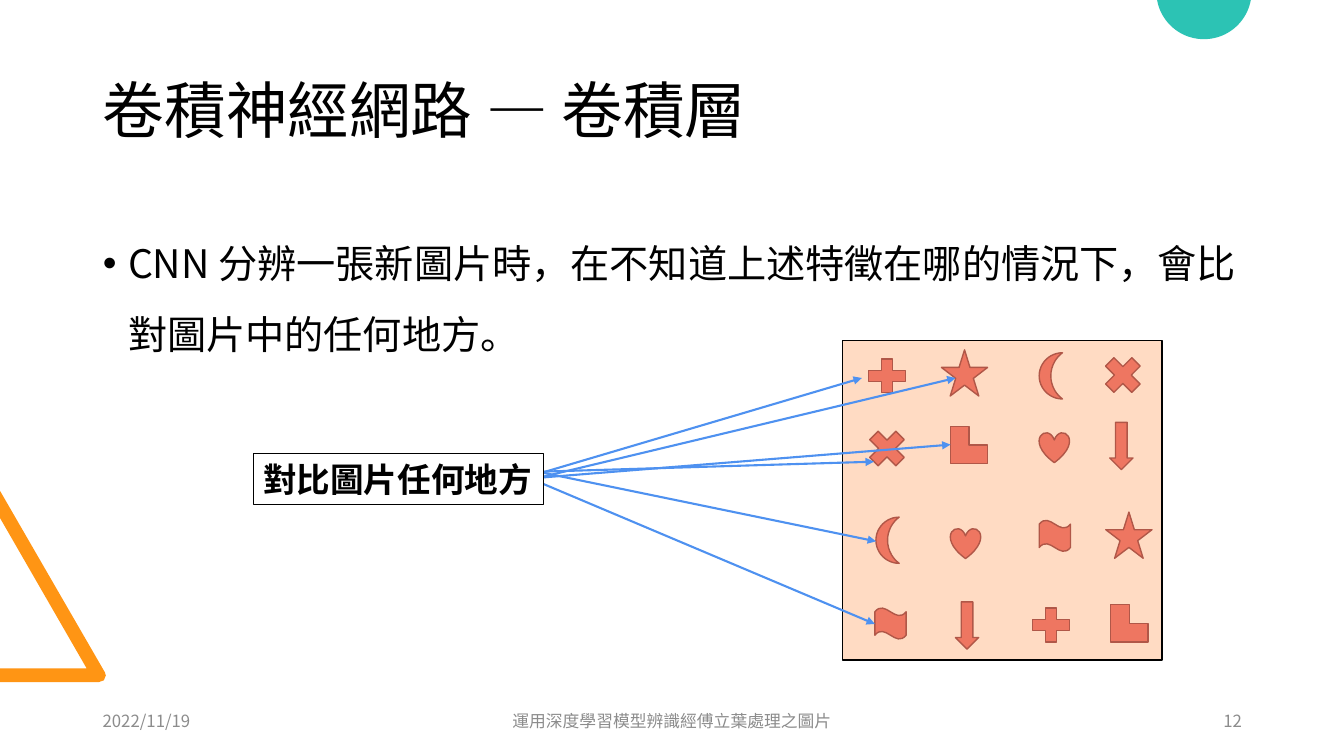
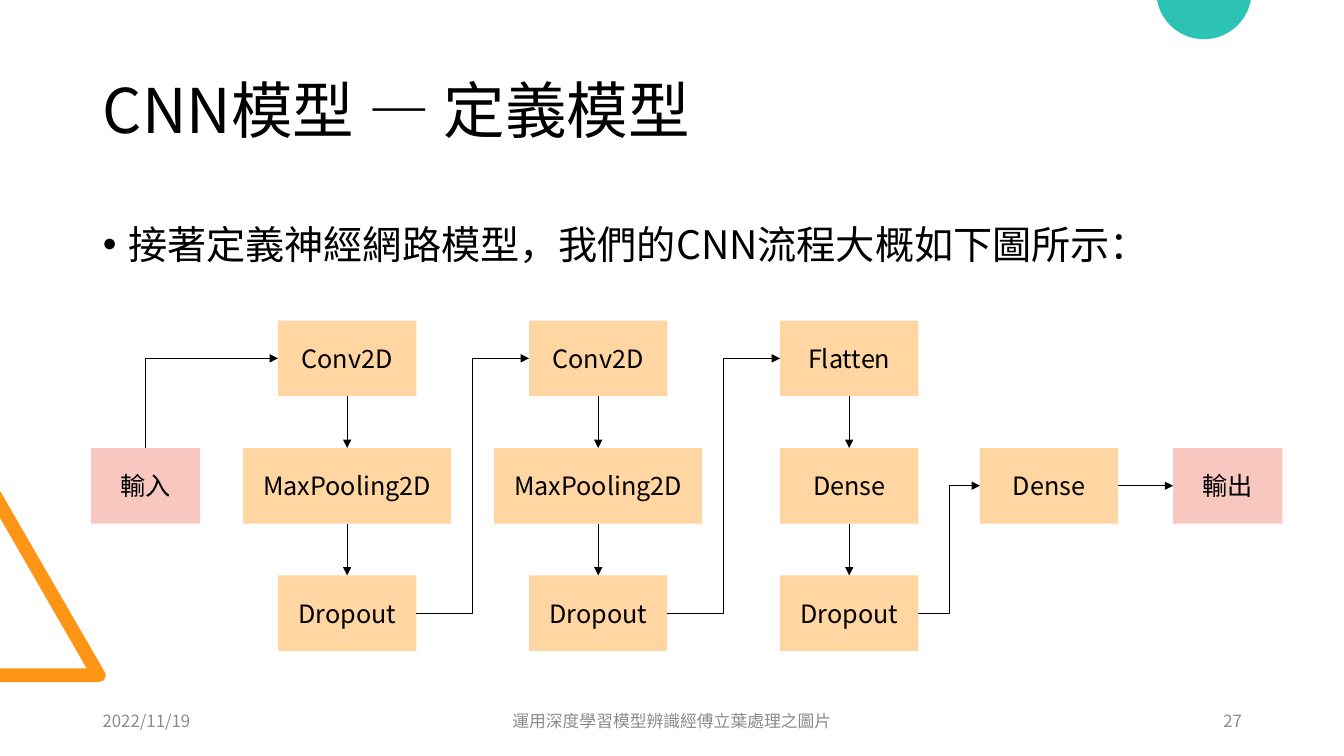
from math import cos, pi, sin

from lxml import etree
from pptx import Presentation
from pptx.dml.color import RGBColor
from pptx.enum.shapes import MSO_CONNECTOR, MSO_SHAPE
from pptx.enum.text import MSO_ANCHOR, MSO_AUTO_SIZE, PP_ALIGN
from pptx.oxml.ns import qn
from pptx.util import Pt

BLACK = RGBColor(0x00, 0x00, 0x00)
WHITE = RGBColor(0xFF, 0xFF, 0xFF)
GREY = RGBColor(0x8C, 0x8C, 0x8C)
ORANGE = RGBColor(0xFF, 0x95, 0x14)
TEAL = RGBColor(0x2C, 0xC3, 0xB4)
PEACH = RGBColor(0xFF, 0xDB, 0xC3)
CORAL = RGBColor(0xEE, 0x76, 0x61)
BRICK = RGBColor(0xB0, 0x57, 0x48)
BLUE = RGBColor(0x4E, 0x91, 0xF0)
PINK = RGBColor(0xF8, 0xC8, 0xC0)
SAND = RGBColor(0xFF, 0xD5, 0xA1)

TC_FONT = "Noto Sans CJK TC"
SC_FONT = "Noto Sans CJK SC"
LABEL_FONT = "Roboto"

LEFT, CENTER, RIGHT = PP_ALIGN.LEFT, PP_ALIGN.CENTER, PP_ALIGN.RIGHT
MIDDLE, TOP = MSO_ANCHOR.MIDDLE, MSO_ANCHOR.TOP
NO_FIT = MSO_AUTO_SIZE.NONE
STRAIGHT, ELBOW = MSO_CONNECTOR.STRAIGHT, MSO_CONNECTOR.ELBOW
RECTANGLE = MSO_SHAPE.RECTANGLE
TOP_SITE, LEFT_SITE, BOTTOM_SITE, RIGHT_SITE = range(4)

TITLE_BOX = (66.24, 28.8, 828, 104.4)
FOOTER_TOP, FOOTER_HEIGHT = 500.4, 28.8
FOOTER_TEXT = "運用深度學習模型辨識經傅立葉處理之圖片"
DATE_TEXT = "2022/11/19"

TRIANGLE = [(0, 487.2), (0, 477.4), (61.9, 477.4), (0, 370), (0, 350.6),
            (74.9, 480.2), (75.6, 482.4), (74.2, 486), (70.6, 487.2)]

ICONS = {
    MSO_SHAPE.MATH_PLUS: (36, 33, [(13.7, 8.6), (131, 186.5)]),
    MSO_SHAPE.MATH_MULTIPLY: (36, 36, [(13.7, 59), (182.2, 6.5)]),
    MSO_SHAPE.STAR_5_POINT: (33, 33, [(70.6, 6.5), (188, 122.4)]),
    MSO_SHAPE.MOON: (16.6, 33, [(23.8, 126), (140.4, 8.6)]),
    MSO_SHAPE.WAVE: (22.3, 22.3, [(23, 190.8), (140.4, 128.2)]),
    MSO_SHAPE.CORNER: (26.6, 26.6, [(77, 61.2), (191.5, 188.6)]),
    MSO_SHAPE.HEART: (21.6, 21.6, [(140.4, 65.5), (77, 134)]),
    MSO_SHAPE.DOWN_ARROW: (16.6, 33.8, [(80.6, 186.5), (190.8, 58.3)]),
}
POINTERS = [(14.4, 13.7, 26.6), (17.3, 80.6, 26.6), (13, 22.3, 86.4),
            (13, 23.8, 143.3), (20.2, 23, 202.3), (17.3, 77, 74.2)]

LAYER_COLUMNS = [("Conv2D", "MaxPooling2D", "Dropout"),
                 ("Conv2D", "MaxPooling2D", "Dropout"),
                 ("Flatten", "Dense", "Dropout")]


def place(shape, box):
    """Move a shape to a left, top, width, height box."""
    shape.left, shape.top, shape.width, shape.height = map(Pt, box)


def write(shape, text, size, color, font=TC_FONT, align=LEFT, anchor=MIDDLE,
          bold=None, wrap=True, spacing=None):
    """Write one paragraph into a shape and return the paragraph."""
    frame = shape.text_frame
    frame.auto_size = NO_FIT
    frame.word_wrap = wrap
    frame.vertical_anchor = anchor
    para = frame.paragraphs[0]
    para.alignment = align
    para.space_before = Pt(0)
    para.line_spacing = spacing
    span = para.add_run()
    span.text = text
    span.font.size = Pt(size)
    span.font.bold = bold
    span.font.color.rgb = color
    span.font.name = font
    east_asian = TC_FONT if font == LABEL_FONT else font
    etree.SubElement(span.font._element, qn("a:ea"), typeface=east_asian)
    return para


def paint(shape, fill, line=None, width=1):
    """Give a shape a flat fill and an optional outline."""
    shape.shadow.inherit = False
    shape.fill.solid()
    shape.fill.fore_color.rgb = fill
    if line is None:
        shape.line.fill.background()
    else:
        shape.line.color.rgb = line
        shape.line.width = Pt(width)


def add_block(page, kind, box, fill, line=None, width=1):
    """Add a painted preset shape."""
    block = page.shapes.add_shape(kind, *map(Pt, box))
    paint(block, fill, line, width)
    return block


def add_outline(page, points, fill):
    """Add a filled closed outline through the points."""
    corners = [(Pt(x), Pt(y)) for x, y in points]
    builder = page.shapes.build_freeform(*corners[0], scale=1.0)
    builder.add_line_segments(corners[1:], close=True)
    outline = builder.convert_to_shape()
    paint(outline, fill)
    return outline


def add_arrow(page, kind, ends, color, width, arrow_end="a:tailEnd"):
    """Add a connector with a triangle at one end."""
    arrow = page.shapes.add_connector(kind, *map(Pt, ends))
    arrow.line.color.rgb = color
    arrow.line.width = Pt(width)
    properties = arrow.element.spPr
    etree.SubElement(properties.find(qn("a:ln")), qn(arrow_end), type="triangle")
    etree.SubElement(properties, qn("a:effectLst"))
    return arrow


def decorate_layout(layout, page):
    """Put the corner ornaments on the shared layout."""
    center_x, center_y, radius, steps = 860, -6, 34, 48
    start = 0.18
    angles = [start + (pi - 2 * start) * step / steps for step in range(steps + 1)]
    cap = [(center_x + radius * cos(angle), max(0, center_y + radius * sin(angle)))
           for angle in angles]
    for points, fill in ((TRIANGLE, ORANGE), (cap, TEAL)):
        layout.shapes.element.append(add_outline(page, points, fill).element)


def add_page(deck, layout, title, body, body_box, number):
    """Add a slide with title, bulleted body and footer line."""
    page = deck.slides.add_slide(layout)
    place(page.shapes.title, TITLE_BOX)
    write(page.shapes.title, title, 44, BLACK, spacing=0.9)
    content = page.placeholders[1]
    place(content, body_box)
    para = write(content, body, 28, BLACK, anchor=TOP, spacing=1.5)
    properties = para._p.get_or_add_pPr()
    properties.set("marL", str(Pt(18)))
    properties.set("indent", str(-Pt(18)))
    for text, left, width, align in ((DATE_TEXT, 66.24, 216, LEFT),
                                     (FOOTER_TEXT, 318, 324, CENTER),
                                     (number, 678.24, 216, RIGHT)):
        footer = page.shapes.add_textbox(
            Pt(left), Pt(FOOTER_TOP), Pt(width), Pt(FOOTER_HEIGHT))
        write(footer, text, 12, GREY, align=align)
    return page


def draw_comparison(page, panel_box, label_box):
    """Draw the icon panel and the label pointing into it."""
    left, top = panel_box[:2]
    add_block(page, RECTANGLE, panel_box, PEACH, BLACK)
    for kind, (width, height, spots) in ICONS.items():
        for x, y in spots:
            add_block(page, kind, (left + x, top + y, width, height), CORAL, BRICK)
    start_x = label_box[0] + label_box[2] - 3.6
    for start_y, x, y in POINTERS:
        ends = (start_x, label_box[1] + start_y, left + x, top + y)
        add_arrow(page, STRAIGHT, ends, BLUE, 1.5)
    label = add_block(page, RECTANGLE, label_box, WHITE, BLACK, 0.75)
    write(label, "對比圖片任何地方", 24, BLACK, LABEL_FONT, bold=True, wrap=False)


def link(page, source, target, kind, source_site, target_site):
    """Join two blocks with an arrow between connection sites."""
    arrow = add_arrow(page, kind, (0, 0, 0, 0), BLACK, 0.5)
    arrow.begin_connect(source, source_site)
    arrow.end_connect(target, target_site)


def link_corner(page, source, target):
    """Join the top of a block to the left of a higher one with one bend."""
    arrow = add_arrow(page, ELBOW, (0, 0, 0, 0), BLACK, 0.5, "a:headEnd")
    arrow.begin_connect(target, LEFT_SITE)
    arrow.end_connect(source, TOP_SITE)
    arrow.element.spPr.find(qn("a:prstGeom")).set("prst", "bentConnector2")


def draw_model(page, box):
    """Draw the layer flow from input to output."""
    left, top, width, height = box
    block_height = 54
    row_step = (height - block_height) / 2
    column_step = 179.3

    def add_layer(text, center, row, block_width, fill=SAND):
        """Add one labelled block centred on a column."""
        spot = (left + center - block_width / 2, top + row * row_step,
                block_width, block_height)
        layer = add_block(page, RECTANGLE, spot, fill)
        write(layer, text, 18, BLACK, SC_FONT, CENTER, wrap=False)
        return layer

    source = add_layer("輸入", 39, 1, 78, PINK)
    columns = [[add_layer(text, 183 + index * column_step, row,
                          148.6 if text == "MaxPooling2D" else 98.8)
                for row, text in enumerate(texts)]
               for index, texts in enumerate(LAYER_COLUMNS)]
    dense = add_layer("Dense", 684.4, 1, 98.8)
    result = add_layer("輸出", width - 39, 1, 78, PINK)

    link_corner(page, source, columns[0][0])
    for column in columns:
        for upper, lower in zip(column, column[1:]):
            link(page, upper, lower, STRAIGHT, BOTTOM_SITE, TOP_SITE)
    heads = [column[0] for column in columns[1:]] + [dense]
    for column, head in zip(columns, heads):
        link(page, column[-1], head, ELBOW, RIGHT_SITE, LEFT_SITE)
    link(page, dense, result, STRAIGHT, RIGHT_SITE, LEFT_SITE)


def main():
    """Build and save the deck."""
    deck = Presentation()
    deck.slide_width, deck.slide_height = Pt(960), Pt(540)
    layout = deck.slide_layouts[1]

    page = add_page(
        deck, layout, "卷積神經網路 — 卷積層",
        "CNN 分辨一張新圖片時，在不知道上述特徵在哪的情況下，會比對圖片中的任何地方。",
        (66.24, 150.5, 828, 303.8), "12")
    decorate_layout(layout, page)
    draw_comparison(page, (601.9, 243.4, 228.2, 228.2), (180.8, 324, 207.4, 36.4))

    page = add_page(
        deck, layout, "CNN模型 — 定義模型",
        "接著定義神經網路模型，我們的CNN流程大概如下圖所示：",
        (66.24, 136.8, 828, 64.1), "27")
    draw_model(page, (65, 229, 851, 236))

    deck.save("out.pptx")


if __name__ == "__main__":
    main()
